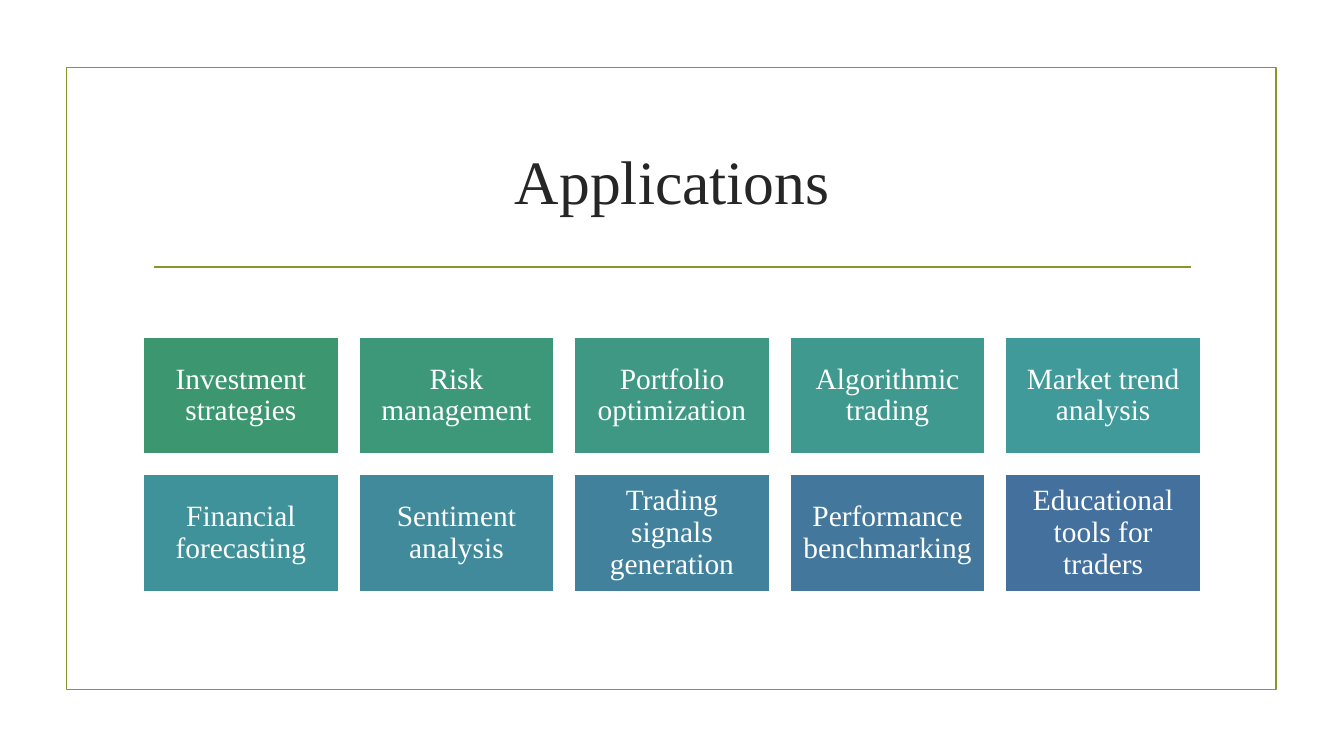
from lxml import etree
from pptx import Presentation
from pptx.dml.color import RGBColor
from pptx.enum.shapes import MSO_CONNECTOR, MSO_SHAPE
from pptx.enum.text import MSO_ANCHOR, PP_ALIGN
from pptx.oxml.ns import qn
from pptx.util import Inches, Pt

RECT = MSO_SHAPE.RECTANGLE
STRAIGHT = MSO_CONNECTOR.STRAIGHT
MIDDLE = MSO_ANCHOR.MIDDLE
CENTER = PP_ALIGN.CENTER
FONT = "Times New Roman"
COLORS = {"olive": "83992A", "ink": "262626", "white": "FFFFFF"}
TILES = [
    ("Investment strategies", "3C9770"),
    ("Risk management", "3D987A"),
    ("Portfolio optimization", "3E9884"),
    ("Algorithmic trading", "3F998E"),
    ("Market trend analysis", "3F9A99"),
    ("Financial forecasting", "40929A"),
    ("Sentiment analysis", "418A9B"),
    ("Trading signals generation", "42819C"),
    ("Performance benchmarking", "43789C"),
    ("Educational tools for traders", "44709D"),
]


def paint(line, color):
    """Give a line its colour and the common width."""
    line.color.rgb = RGBColor.from_string(color)
    line.width = Pt(1.25)


def add_rect(slide, box, line, fill=None):
    """Add a plain rectangle, hollow unless a fill is given."""
    shape = slide.shapes.add_shape(RECT, *map(Inches, box))
    shape.shadow.inherit = False
    paint(shape.line, line)
    if fill:
        shape.fill.solid()
        shape.fill.fore_color.rgb = RGBColor.from_string(fill)
    else:
        shape.fill.background()
    return shape


def write(shape, text, size, color, space=1.0, inset=0.1):
    """Set centred text in a shape."""
    frame = shape.text_frame
    frame.word_wrap = True
    frame.vertical_anchor = MIDDLE
    frame.margin_left = frame.margin_right = Inches(inset)
    frame.margin_top = frame.margin_bottom = Inches(inset)
    para = frame.paragraphs[0]
    para.alignment = CENTER
    para.line_spacing = space
    run = para.add_run()
    run.text = text
    run.font.name = FONT
    run.font.size = Pt(size)
    run.font.color.rgb = RGBColor.from_string(color)


def add_head(slide, box):
    """Place the title in its box with a rule below it."""
    left, top, width, height = box
    title = slide.shapes.add_textbox(*map(Inches, box))
    write(title, "Applications", 44, COLORS["ink"])
    y = top + height + 0.15
    ends = (left + 0.11, y, left + width - 0.11, y)
    rule = slide.shapes.add_connector(STRAIGHT, *map(Inches, ends))
    paint(rule.line, COLORS["olive"])
    etree.SubElement(rule._element.spPr, qn("a:effectLst"))


def add_grid(slide, box, cols=5, rows=2, gap=0.2):
    """Fill the box with equal tiles, row by row."""
    left, top, width, height = box
    wide = (width - gap * (cols - 1)) / cols
    high = (height - gap * (rows - 1)) / rows
    for i, (text, fill) in enumerate(TILES):
        row, col = divmod(i, cols)
        spot = (left + col * (wide + gap), top + row * (high + gap), wide, high)
        tile = add_rect(slide, spot, COLORS["white"], fill)
        write(tile, text, 21, COLORS["white"], space=0.9, inset=0.09)


def main():
    """Build the slide and save it."""
    deck = Presentation()
    deck.slide_width = Inches(13.33)
    deck.slide_height = Inches(7.5)
    slide = deck.slides.add_slide(deck.slide_layouts[6])
    add_rect(slide, (0.66, 0.67, 12, 6.17), COLORS["olive"])
    add_head(slide, (1.42, 1.07, 10.5, 1.43))
    add_grid(slide, (1.42, 3.34, 10.49, 2.53))
    deck.save("out.pptx")


if __name__ == "__main__":
    main()
